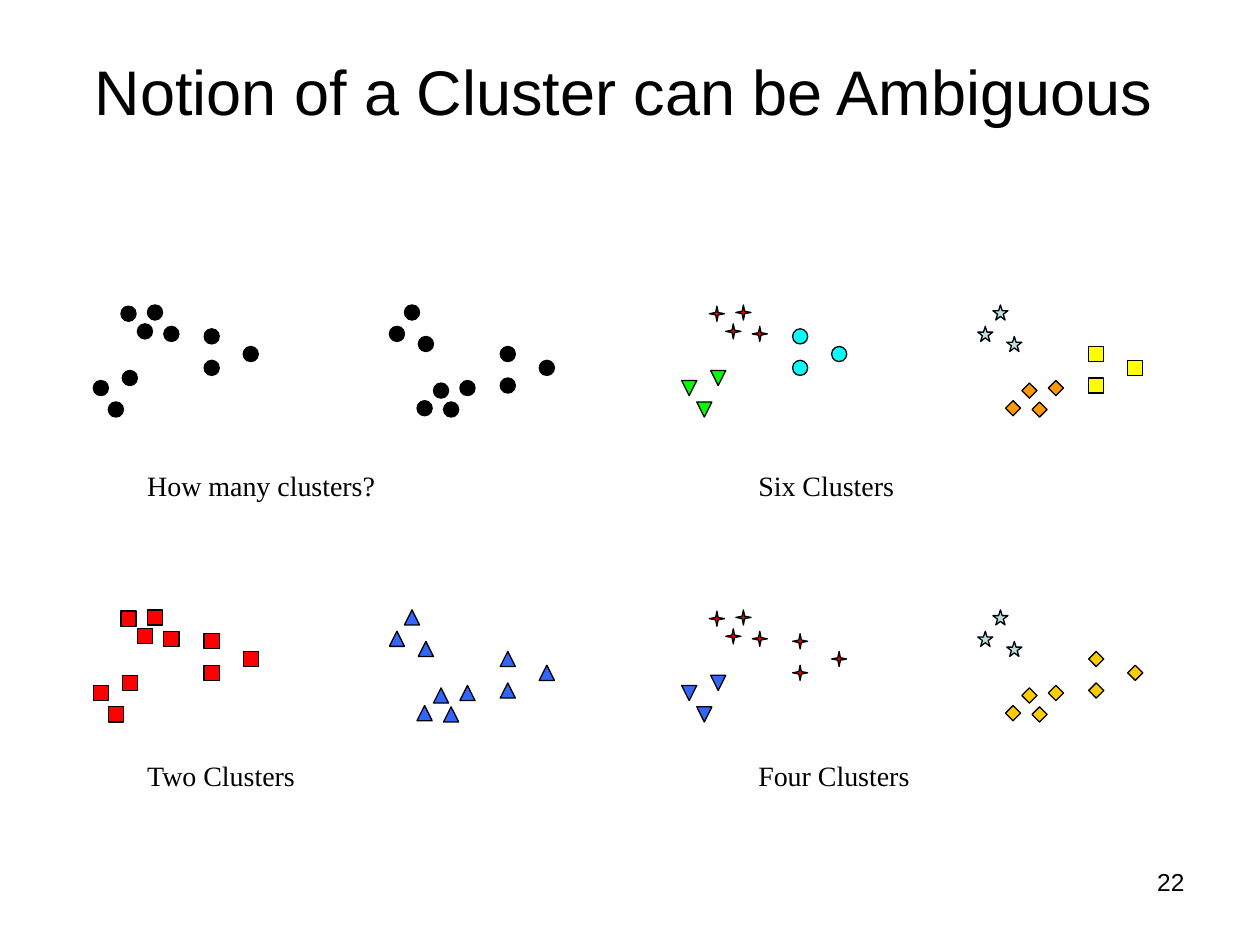
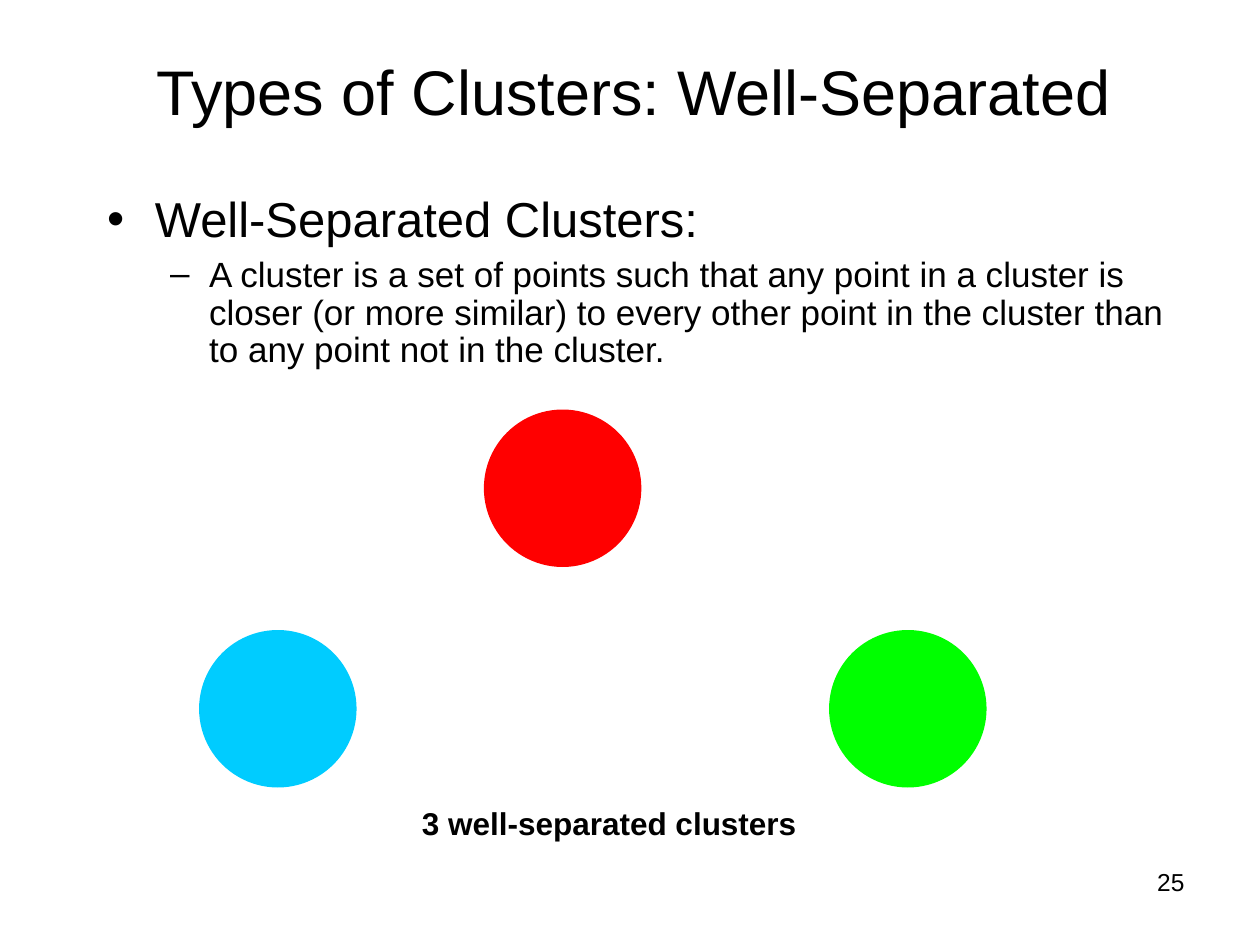
"""Builds two slides on what makes a cluster."""
from lxml import etree
from pptx import Presentation
from pptx.dml.color import RGBColor
from pptx.enum.shapes import MSO_SHAPE
from pptx.enum.text import MSO_ANCHOR, MSO_AUTO_SIZE, PP_ALIGN
from pptx.oxml.ns import qn
from pptx.util import Inches, Pt

OVAL, RECT = MSO_SHAPE.OVAL, MSO_SHAPE.RECTANGLE
UP, DOWN = MSO_SHAPE.ISOSCELES_TRIANGLE, MSO_SHAPE.FLOWCHART_MERGE
RHOMB, STAR = MSO_SHAPE.DIAMOND, MSO_SHAPE.STAR_5_POINT
SPARK = "spark"
LEFT, MID, RIGHT = PP_ALIGN.LEFT, PP_ALIGN.CENTER, PP_ALIGN.RIGHT
CENTER = MSO_ANCHOR.MIDDLE
FIXED, GROW = MSO_AUTO_SIZE.NONE, MSO_AUTO_SIZE.SHAPE_TO_FIT_TEXT

BLACK = RGBColor(0, 0, 0)
RED = RGBColor(0xFF, 0, 0)
LIME = RGBColor(0, 0xFF, 0)
AQUA = RGBColor(0, 0xFF, 0xFF)
SKY = RGBColor(0, 0xCC, 0xFF)
BLUE = RGBColor(0x33, 0x66, 0xFF)
PALE = RGBColor(0xBB, 0xE0, 0xE3)
GOLD = RGBColor(0xFF, 0xCC, 0)
AMBER = RGBColor(0xFF, 0x99, 0)
LEMON = RGBColor(0xFF, 0xFF, 0)

SANS, SERIF = "Arial", "Times New Roman"

TOP = [(1.3, 2.59), (0.96, 2.43), (1.17, 2.42), (1.09, 2.57)]
LOW = [(0.97, 2.94), (0.74, 3.02), (0.86, 3.19)]
SIDE = [(1.62, 2.61), (1.93, 2.75), (1.62, 2.86)]
CLUMPS = [TOP, LOW, SIDE]
SHIFT, FLIP = 2.35, 5.61
DOT = 0.12
STEP_X, STEP_Y = 4.67, 2.42
NOTE_X, NOTE_Y = 4.85, 2.3

PANELS = [
    ("How many clusters?", 0, 0, [(OVAL, BLACK)] * 3, [(OVAL, BLACK)] * 3),
    ("Six Clusters", 1, 0,
     [(SPARK, RED), (DOWN, LIME), (OVAL, AQUA)],
     [(RHOMB, AMBER), (STAR, PALE), (RECT, LEMON)]),
    ("Two Clusters", 0, 1, [(RECT, RED)] * 3, [(UP, BLUE)] * 3),
    ("Four Clusters", 1, 1,
     [(SPARK, RED), (DOWN, BLUE), (SPARK, RED)],
     [(RHOMB, GOLD), (STAR, PALE), (RHOMB, GOLD)]),
]

POINTS = [
    ("Well-Separated Clusters:", 0, 28, 0, "•", 0.38, -0.38),
    ("A cluster is a set of points such that any point in a cluster is closer "
     "(or more similar) to every other point in the cluster than to any point "
     "not in the cluster.", 1, 20, 5, "–", 0.81, -0.31),
]
DISCS = [(1.58, 5, SKY), (6.58, 5, LIME), (3.84, 3.25, RED)]
DISC = 1.25


def write(para, text, size=18, font=SANS, bold=False, align=LEFT):
    """Put one formatted run in a paragraph."""
    para.alignment = align
    para.space_before = Pt(0)
    run = para.add_run()
    run.text = text
    run.font.size, run.font.name, run.font.bold = Pt(size), font, bold
    run.font.color.rgb = BLACK


def place(shape, x, y, w, h):
    """Move and size a shape, in inches."""
    shape.left, shape.top = Inches(x), Inches(y)
    shape.width, shape.height = Inches(w), Inches(h)


def label(shapes, text, x, y, w, h, fit=FIXED, **style):
    """Add a wrapped text box."""
    frame = shapes.add_textbox(Inches(x), Inches(y), Inches(w), Inches(h)).text_frame
    frame.word_wrap, frame.auto_size = True, fit
    write(frame.paragraphs[0], text, **style)


def start(deck, layout, title, x, number):
    """Add a slide with its title and number."""
    slide = deck.slides.add_slide(deck.slide_layouts[layout])
    head = slide.shapes.title
    place(head, x, 0.42, 9.06, 0.6)
    head.text_frame.vertical_anchor = CENTER
    head.text_frame.auto_size = FIXED
    write(head.text_frame.paragraphs[0], title, size=36, align=MID)
    label(slide.shapes, number, 7.17, 6.83, 2.33, 0.52, size=14, align=RIGHT)
    return slide


def spark(shapes, x, y):
    """Draw a thin four-pointed star."""
    half, thin = DOT / 2, 0.01
    turns = [(-half, 0), (-thin, thin), (0, half), (thin, thin),
             (half, 0), (thin, -thin), (0, -half), (-thin, -thin)]
    ends = [(Inches(x + half + a), Inches(y + half + b)) for a, b in turns]
    pen = shapes.build_freeform(*ends[0])
    pen.add_line_segments(ends[1:], close=True)
    return pen.convert_to_shape()


def mark(shapes, kind, x, y, fill, size=DOT, edge=True):
    """Draw one filled mark."""
    if kind == SPARK:
        shape = spark(shapes, x, y)
    else:
        shape = shapes.add_shape(kind, Inches(x), Inches(y), Inches(size), Inches(size))
    shape.shadow.inherit = False
    shape.fill.solid()
    shape.fill.fore_color.rgb = fill
    if edge:
        shape.line.color.rgb = BLACK
        shape.line.width = Pt(0.75)
    else:
        shape.line.fill.background()


def panel(slide, text, col, row, left, right):
    """Draw one grouping of the points; the right half mirrors the left."""
    shapes = slide.shapes.add_group_shape().shapes
    dx, dy = col * STEP_X, row * STEP_Y
    for clump, (kind, fill), (twin, tint) in zip(CLUMPS, left, right):
        for x, y in clump:
            mark(shapes, kind, x + dx, y + dy, fill)
            mark(shapes, twin, x + SHIFT + dx, FLIP - y + dy, tint)
    label(shapes, text, 1.07 + col * NOTE_X, 3.67 + row * NOTE_Y, 2.5, 0.37,
          fit=GROW, size=16, font=SERIF)


def bullet(para, sign, margin, indent):
    """Give a paragraph a black bullet and a hanging indent."""
    props = para._p.get_or_add_pPr()
    props.set("marL", str(Inches(margin)))
    props.set("indent", str(Inches(indent)))
    tint = etree.SubElement(props, qn("a:buClr"))
    etree.SubElement(tint, qn("a:srgbClr")).set("val", str(BLACK))
    etree.SubElement(props, qn("a:buChar")).set("char", sign)


def main():
    """Build and save the deck."""
    deck = Presentation()
    deck.slide_width, deck.slide_height = Inches(10), Inches(7.5)

    slide = start(deck, 5, "Notion of a Cluster can be Ambiguous", 0.42, "22")
    for item in PANELS:
        panel(slide, *item)

    slide = start(deck, 1, "Types of Clusters: Well-Separated", 0.5, "25")
    body = slide.placeholders[1]
    place(body, 0.75, 1.5, 8.66, 4.88)
    frame = body.text_frame
    frame.auto_size = FIXED
    for i, (text, level, size, gap, sign, margin, indent) in enumerate(POINTS):
        para = frame.add_paragraph() if i else frame.paragraphs[0]
        bullet(para, sign, margin, indent)
        write(para, text, size=size)
        para.level, para.line_spacing, para.space_before = level, 0.9, Pt(gap)
    for x, y, fill in DISCS:
        mark(slide.shapes, OVAL, x, y, fill, size=DISC, edge=False)
    label(slide.shapes, "3 well-separated clusters", 3.25, 6.33, 3.5, 0.4,
          fit=GROW, bold=True)

    deck.save("out.pptx")


if __name__ == "__main__":
    main()
